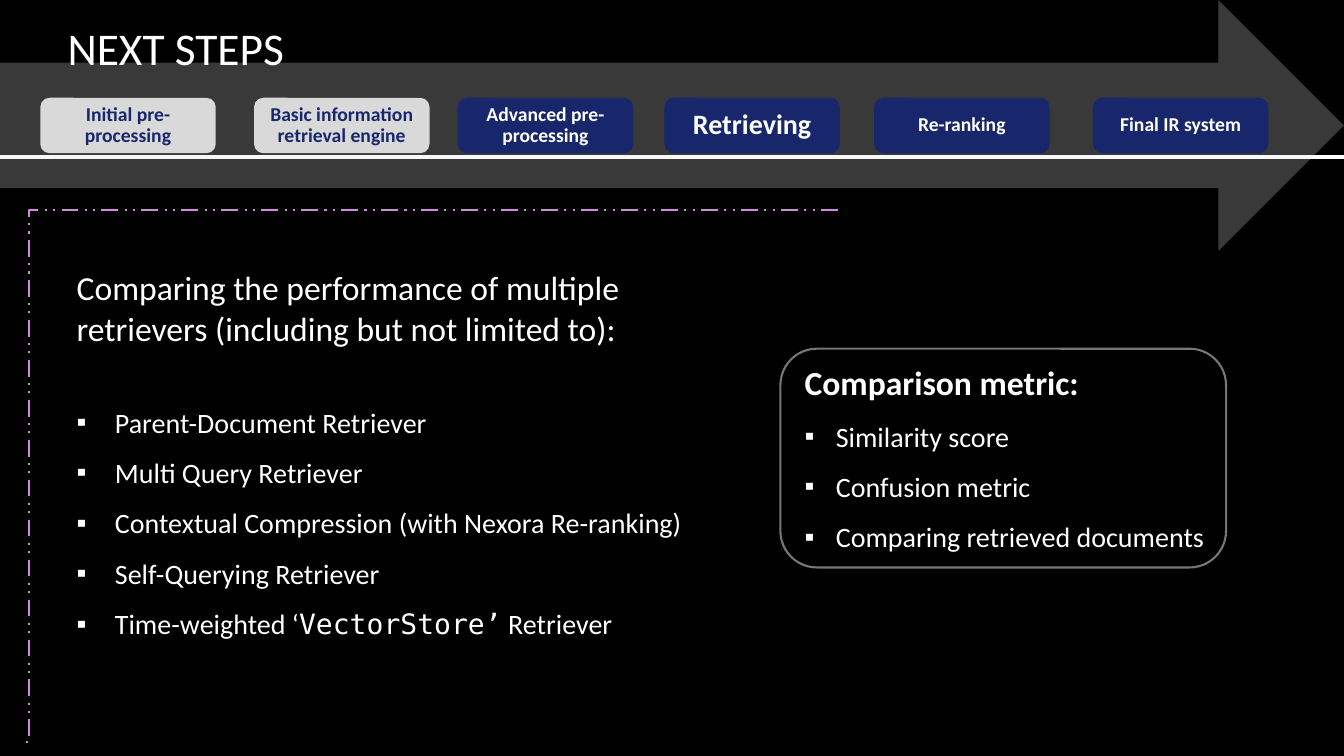
from lxml import etree
from pptx import Presentation
from pptx.dml.color import RGBColor
from pptx.enum.dml import MSO_LINE
from pptx.enum.shapes import MSO_CONNECTOR, MSO_SHAPE
from pptx.enum.text import MSO_ANCHOR, MSO_AUTO_SIZE, PP_ALIGN
from pptx.oxml.ns import qn
from pptx.util import Inches, Pt

ROUND_RECT, RIGHT_ARROW = MSO_SHAPE.ROUNDED_RECTANGLE, MSO_SHAPE.RIGHT_ARROW
STRAIGHT, ELBOW = MSO_CONNECTOR.STRAIGHT, MSO_CONNECTOR.ELBOW
DASH_DOT_DOT = MSO_LINE.DASH_DOT_DOT
TOP, MIDDLE = MSO_ANCHOR.TOP, MSO_ANCHOR.MIDDLE
LEFT, CENTER = PP_ALIGN.LEFT, PP_ALIGN.CENTER
NO_AUTOFIT = MSO_AUTO_SIZE.NONE

FONT, CODE_FONT = "Calibri", "DejaVu Sans Mono"
BLACK, WHITE, NAVY, SILVER = "000000", "FFFFFF", "18276C", "D9D9D9"

# left, label, size, fill, text colour
STEPS = [
    (0.4, "Initial pre-processing", 14, SILVER, NAVY),
    (2.52, "Basic information retrieval engine", 14, SILVER, NAVY),
    (4.54, "Advanced pre-processing", 14, NAVY, WHITE),
    (6.59, "Retrieving", 20, NAVY, WHITE),
    (8.67, "Re-ranking", 14, NAVY, WHITE),
    (10.84, "Final IR system", 14, NAVY, WHITE),
]
RETRIEVERS = [
    ["Parent-Document Retriever"],
    ["Multi Query Retriever"],
    ["Contextual Compression (with Nexora Re-ranking)"],
    ["Self-Querying Retriever"],
    ["Time-weighted ‘", "VectorStore’", " Retriever"],
]
METRICS = [["Similarity score"], ["Confusion metric"], ["Comparing retrieved documents"]]


def rgb(color):
    return RGBColor.from_string(color)


def style_run(r, size, color=WHITE, bold=False, font=FONT):
    r.font.name = font
    r.font.size = Pt(size)
    r.font.bold = bold
    r.font.color.rgb = rgb(color)


def add_shape(s, kind, box, fill=None, line=None):
    sp = s.shapes.add_shape(kind, *map(Inches, box))
    sp.shadow.inherit = False
    if fill:
        sp.fill.solid()
        sp.fill.fore_color.rgb = rgb(fill)
    else:
        sp.fill.background()
    if line:
        sp.line.color.rgb = rgb(line)
        sp.line.width = Pt(1.5)
    else:
        sp.line.fill.background()
    return sp


def set_opacity(sp, percent):
    color = sp.element.spPr.find(qn("a:solidFill"))[0]
    etree.SubElement(color, qn("a:alpha"), val=str(percent * 1000))


def add_line(s, kind, ends, color, width):
    line = s.shapes.add_connector(kind, *map(Inches, ends))
    line.line.color.rgb = rgb(color)
    line.line.width = Pt(width)
    etree.SubElement(line.element.spPr, qn("a:effectLst"))
    return line


def add_bracket(s):
    """Dashed elbow whose bend lies almost at its far end."""
    line = add_line(s, ELBOW, (8.31, 2.08, 0.26, 7.36), "CD8BDA", 1.5)
    line.line.dash_style = DASH_DOT_DOT
    guides = line.element.spPr.find(qn("a:prstGeom")).find(qn("a:avLst"))
    etree.SubElement(guides, qn("a:gd"), name="adj1", fmla="val 99700")


def add_step(s, left, label, size, fill, color):
    sp = add_shape(s, ROUND_RECT, (left, 0.97, 1.74, 0.55), fill)
    tf = sp.text_frame
    tf.word_wrap = True
    tf.vertical_anchor = MIDDLE
    tf.margin_left = tf.margin_right = Inches(0.09)
    tf.margin_top = tf.margin_bottom = Inches(0.06)
    p = tf.paragraphs[0]
    p.text = label
    p.alignment = CENTER
    p.line_spacing = 0.9
    style_run(p.runs[0], size, color, bold=True)


def place(sp, box, anchor):
    """Move a placeholder, bring it to the front and return its text frame."""
    sp.left, sp.top, sp.width, sp.height = map(Inches, box)
    sp.element.getparent().append(sp.element)
    tf = sp.text_frame
    tf.word_wrap = True
    tf.auto_size = NO_AUTOFIT
    tf.vertical_anchor = anchor
    return tf


def set_bullet(p, indent):
    """Hang a square bullet by the indent, or drop the bullet when it is 0."""
    pPr = p._p.get_or_add_pPr()
    pPr.set("marL", str(Inches(indent)))
    pPr.set("indent", str(-Inches(indent)))
    if indent:
        etree.SubElement(pPr, qn("a:buFont"), typeface="Arial")
        etree.SubElement(pPr, qn("a:buChar"), char="▪")
    else:
        etree.SubElement(pPr, qn("a:buNone"))


def fill_list(sp, box, heading, items, indent, heading_spacing, bold, gap):
    """Write a heading, a gap in points and bulleted items made of runs."""
    tf = place(sp, box, TOP)
    p = tf.paragraphs[0]
    p.text = heading
    p.line_spacing = heading_spacing
    p.space_before = Pt(0)
    set_bullet(p, 0)
    style_run(p.runs[0], 24, bold=bold)
    for i, parts in enumerate(items):
        p = tf.add_paragraph()
        p.line_spacing = 1.5
        p.space_before = Pt(0 if i else gap)
        set_bullet(p, indent)
        for j, part in enumerate(parts):
            r = p.add_run()
            r.text = part
            style_run(r, 20, font=CODE_FONT if j == 1 else FONT)


def main():
    prs = Presentation()
    prs.slide_width, prs.slide_height = Inches(13.33), Inches(7.5)
    s = prs.slides.add_slide(prs.slide_layouts[3])
    s.background.fill.solid()
    s.background.fill.fore_color.rgb = rgb(BLACK)
    title, retrievers, metrics = s.placeholders

    add_line(s, STRAIGHT, (0, 1.56, 13.33, 1.56), WHITE, 3)
    arrow = add_shape(s, RIGHT_ARROW, (0, 0, 13.33, 2.49), "E6E6E6")
    set_opacity(arrow, 25)
    for step in STEPS:
        add_step(s, *step)

    p = place(title, (0.57, 0.14, 10.8, 0.66), MIDDLE).paragraphs[0]
    p.text = "NEXT STEPS"
    p.alignment = LEFT
    style_run(p.runs[0], 32.4)

    add_bracket(s)
    fill_list(retrievers, (0.66, 2.6, 6.31, 4.24),
              "Comparing the performance of multiple retrievers (including but not limited to):",
              RETRIEVERS, 0.38, 1.0, False, 29)
    fill_list(metrics, (7.88, 3.34, 4.27, 2.17), "Comparison metric:",
              METRICS, 0.31, 1.5, True, 0)
    add_shape(s, ROUND_RECT, (7.74, 3.46, 4.42, 2.17), line="767676")
    prs.save("out.pptx")


if __name__ == "__main__":
    main()
